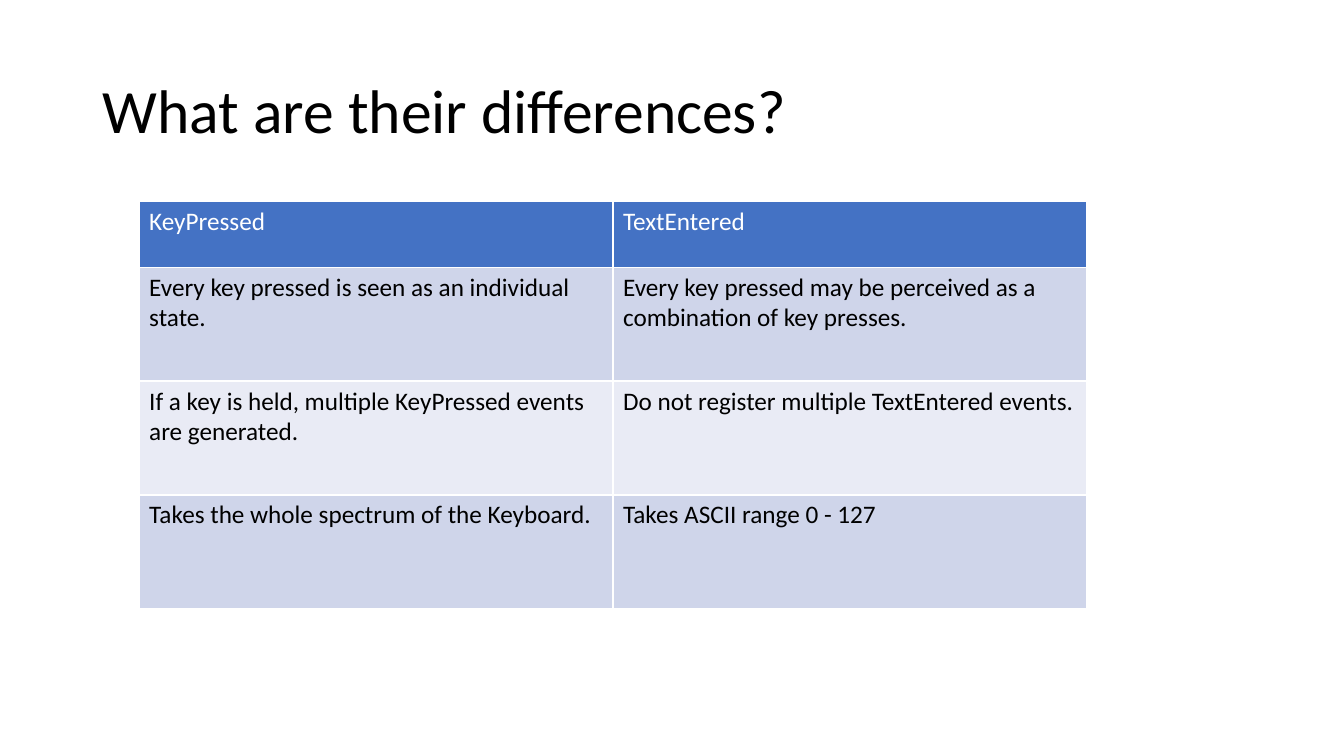
from dataclasses import dataclass

from lxml.etree import SubElement
from pptx import Presentation
from pptx.dml.color import RGBColor as Rgb
from pptx.enum.text import MSO_ANCHOR as Anchor, PP_ALIGN as Align
from pptx.oxml.ns import qn
from pptx.util import Inches, Pt


@dataclass(frozen=True)
class Theme:
    font: str = "Calibri"
    title: int = 44
    body: int = 18
    ink: str = "000000"
    paper: str = "FFFFFF"
    head: str = "4472C4"
    bands: tuple = ("CFD5EA", "E9EBF5")


THEME = Theme()
ROWS = [
    ("KeyPressed", "TextEntered"),
    ("Every key pressed is seen as an individual state.",
     "Every key pressed may be perceived as a combination of key presses."),
    ("If a key is held, multiple KeyPressed events are generated.",
     "Do not register multiple TextEntered events."),
    ("Takes the whole spectrum of the Keyboard.", "Takes ASCII range 0 - 127"),
]


def style(para, size, color):
    font = para.font
    for name, value in {"name": THEME.font, "size": Pt(size), "bold": False}.items():
        setattr(font, name, value)
    font.color.rgb = Rgb.from_string(color)


def add_title(slide, text):
    title = slide.shapes.title
    place = {"left": 0.92, "top": 0.4, "width": 11.5, "height": 1.45}
    for name, value in place.items():
        setattr(title, name, Inches(value))
    frame = title.text_frame
    frame.text = text
    frame.vertical_anchor = Anchor.MIDDLE
    para = frame.paragraphs[0]
    para.alignment = Align.LEFT
    para.line_spacing = 0.9
    style(para, THEME.title, THEME.ink)


def add_edges(cell):
    """Draw a thin line in the paper colour on all four sides."""
    props = cell._tc.get_or_add_tcPr()
    for side in ("lnL", "lnR", "lnT", "lnB"):
        line = SubElement(props, qn(f"a:{side}"), w=str(Pt(1)))
        fill = SubElement(line, qn("a:solidFill"))
        SubElement(fill, qn("a:srgbClr"), val=THEME.paper)


def fill_cell(cell, text, back, color):
    add_edges(cell)
    cell.fill.solid()
    cell.fill.fore_color.rgb = Rgb.from_string(back)
    cell.text = text
    style(cell.text_frame.paragraphs[0], THEME.body, color)


def add_grid(slide, rows):
    frame = slide.shapes.add_table(len(rows), len(rows[0]), Inches(1.38),
                                   Inches(2), Inches(9.4), Inches(4.04))
    table = frame.table
    for r, texts in enumerate(rows):
        table.rows[r].height = Inches(1.13 if r else 0.65)
        back = THEME.bands[(r - 1) % 2] if r else THEME.head
        color = THEME.ink if r else THEME.paper
        for c, text in enumerate(texts):
            fill_cell(table.cell(r, c), text, back, color)


def main():
    deck = Presentation()
    deck.slide_width, deck.slide_height = Inches(13.33), Inches(7.5)
    slide = deck.slides.add_slide(deck.slide_layouts.get_by_name("Title Only"))
    add_title(slide, "What are their differences?")
    add_grid(slide, ROWS)
    deck.save("out.pptx")


if __name__ == "__main__":
    main()
